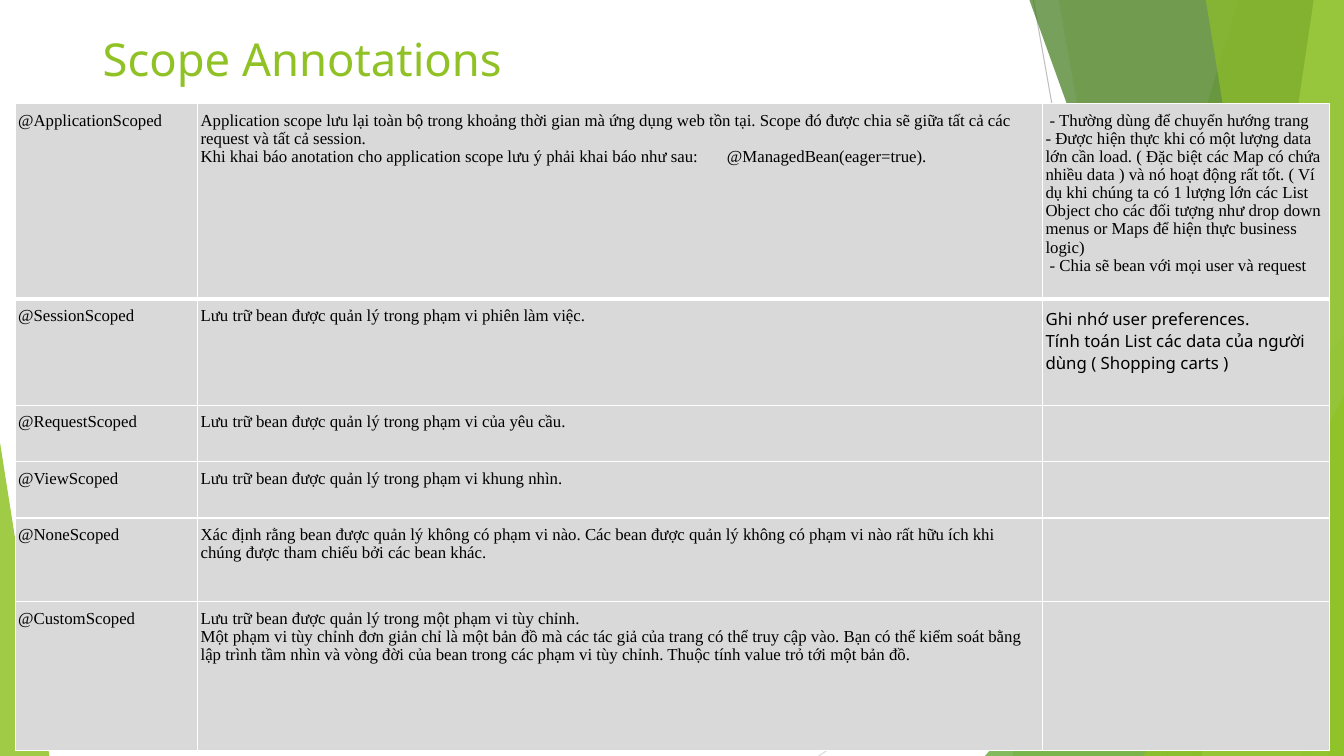
from lxml import etree
from pptx import Presentation
from pptx.dml.color import RGBColor
from pptx.enum.shapes import MSO_CONNECTOR as Connector, MSO_SHAPE as Shape
from pptx.enum.text import MSO_ANCHOR as Anchor
from pptx.oxml.ns import qn
from pptx.util import Inches, Pt

COLOURS = {
    "lime": "90C226", "leaf": "54A021", "forest": "3F7819", "pale": "C0E474",
    "ray": "BFBFBF", "faint ray": "D9D9D9", "cell": "D9D9D9",
    "border": "FFFFFF", "text": "000000",
}
SERIF, SANS = "Times New Roman", "Noto Sans"
TITLE_FORMAT = {"name": SANS, "size": Pt(32.4)}
SERIF_FORMAT = {"name": SERIF, "size": Pt(12)}
SANS_FORMAT = {"name": SANS, "size": Pt(12)}

PANEL, TRIANGLE = "panel", "triangle"
FACETS = [
    (PANEL, (4.16, 1.92), "lime", 30),
    (PANEL, (2.38, 3.71), "lime", 20),
    (TRIANGLE, (3.56, 4.17), "leaf", 72),
    (PANEL, (2.09, 4.79), "forest", 70),
    (PANEL, (4.91, 3.8), "pale", 70),
    (PANEL, (3.84, 5.06), "lime", 65),
    (TRIANGLE, (1.99, 3.57), "lime", 80),
]

COLUMNS = [1.81, 8.38, 2.85]
ROWS = [1.94, 1.05, 0.56, 0.56, 0.83, 1.48]
GAP_STOP = 5.22
SCOPES = [
    ("@ApplicationScoped",
     "Application scope lưu lại toàn bộ trong khoảng thời gian mà ứng dụng web tồn tại. "
     "Scope đó được chia sẽ giữa tất cả các request và tất cả session.\n"
     "Khi khai báo anotation cho application scope lưu ý phải khai báo như sau:\t"
     "@ManagedBean(eager=true).",
     " - Thường dùng để chuyển hướng trang\n"
     "- Được hiện thực khi có một lượng data lớn cần load. ( Đặc biệt các Map có chứa "
     "nhiều data ) và nó hoạt động rất tốt. ( Ví dụ khi chúng ta có 1 lượng lớn các List "
     "Object cho các đối tượng như drop down menus or Maps để hiện thực business logic)\n"
     " - Chia sẽ bean với mọi user và request"),
    ("@SessionScoped",
     "Lưu trữ bean được quản lý trong phạm vi phiên làm việc.",
     "Ghi nhớ user preferences.\n"
     "Tính toán List các data của người dùng ( Shopping carts )"),
    ("@RequestScoped", "Lưu trữ bean được quản lý trong phạm vi của yêu cầu.", ""),
    ("@ViewScoped", "Lưu trữ bean được quản lý trong phạm vi khung nhìn.", ""),
    ("@NoneScoped",
     "Xác định rằng bean được quản lý không có phạm vi nào. Các bean được quản lý không có "
     "phạm vi nào rất hữu ích khi chúng được tham chiếu bởi các bean khác.", ""),
    ("@CustomScoped",
     "Lưu trữ bean được quản lý trong một phạm vi tùy chỉnh.\n"
     "Một phạm vi tùy chỉnh đơn giản chỉ là một bản đồ mà các tác giả của trang có thể truy "
     "cập vào. Bạn có thể kiểm soát bằng lập trình tầm nhìn và vòng đời của bean trong các "
     "phạm vi tùy chỉnh. Thuộc tính value trỏ tới một bản đồ.", ""),
]


def rgb(name):
    """Return the palette colour called name."""
    return RGBColor.from_string(COLOURS[name])


def write(para, text, formats, colour):
    """Add one formatted span of text to a paragraph."""
    span = para.add_run()
    span.text = text
    for attribute, value in formats.items():
        setattr(span.font, attribute, value)
    span.font.color.rgb = rgb(colour)


def paint(shape, colour, opacity):
    """Give a shape a translucent fill without line or shadow."""
    shape.shadow.inherit = False
    shape.line.fill.background()
    shape.fill.solid()
    shape.fill.fore_color.rgb = rgb(colour)
    shade = shape.fill._xPr.find(qn("a:solidFill"))[0]
    etree.SubElement(shade, qn("a:alpha"), val=str(opacity * 1000))


def add_ray(page, start, end, colour):
    """Draw a thin straight line between two points."""
    ray = page.shapes.add_connector(
        Connector.STRAIGHT, *(Inches(value) for value in start + end))
    ray.line.color.rgb = rgb(colour)
    ray.line.width = Pt(0.75)
    etree.SubElement(ray._element.spPr, qn("a:effectLst"))


def add_panel(page, top_point, bottom_point, right):
    """Build a slanted panel that reaches the right edge."""
    (top_x, top), (bottom_x, bottom) = top_point, bottom_point
    corners = [(right, top), (right, bottom), (bottom_x, bottom)]
    builder = page.shapes.build_freeform(Inches(top_x), Inches(top))
    builder.add_line_segments([(Inches(x), Inches(y)) for x, y in corners])
    return builder.convert_to_shape()


def add_triangle(page, box, apex):
    """Place a right triangle with its apex at the given share of its width."""
    triangle = page.shapes.add_shape(Shape.ISOSCELES_TRIANGLE, *map(Inches, box))
    triangle.adjustments[0] = apex
    return triangle


def draw_facets(page, box):
    """Draw the rays and translucent facets against the right edge of the box."""
    left, top, width, height = box
    right, bottom = left + width, top + height
    add_ray(page, (left + 2.13, top), (left + 3.46, bottom), "ray")
    add_ray(page, (right, top + 4.03), (left, bottom), "faint ray")
    for kind, (first, second), colour, opacity in FACETS:
        if kind == PANEL:
            facet = add_panel(page, (left + first, top), (left + second, bottom), right)
        else:
            facet = add_triangle(page, (right - first, bottom - second, first, second), 1)
        paint(facet, colour, opacity)


def draw_corner(page, box):
    """Draw the green triangle in the lower left corner."""
    paint(add_triangle(page, box, 0), "lime", 85)


def draw_title(page, box):
    """Write the slide title."""
    frame = page.shapes.add_textbox(*map(Inches, box)).text_frame
    frame.word_wrap = True
    frame.vertical_anchor = Anchor.MIDDLE
    write(frame.paragraphs[0], "Scope Annotations", TITLE_FORMAT, "lime")


def add_borders(cell, widths):
    """Put white lines of the given point widths around a cell."""
    properties = cell._tc.get_or_add_tcPr()
    for index, (side, width) in enumerate(widths.items()):
        line = etree.Element(qn("a:ln" + side), w=str(Pt(width)))
        fill = etree.SubElement(line, qn("a:solidFill"))
        etree.SubElement(fill, qn("a:srgbClr"), val=COLOURS["border"])
        properties.insert(index, line)


def fill_cell(cell, text, formats, right_margin):
    """Write the lines of a cell as paragraphs on the grey fill."""
    margins = {"margin_left": 0.03, "margin_top": 0.08,
               "margin_right": right_margin, "margin_bottom": 0.05}
    for attribute, value in margins.items():
        setattr(cell, attribute, Inches(value))
    cell.fill.solid()
    cell.fill.fore_color.rgb = rgb("cell")
    frame = cell.text_frame
    for index, line in enumerate(text.split("\n") if text else []):
        para = frame.add_paragraph() if index else frame.paragraphs[0]
        para.line_spacing = 0.97
        if "\t" in line:
            stops = etree.SubElement(para._p.get_or_add_pPr(), qn("a:tabLst"))
            etree.SubElement(stops, qn("a:tab"), pos=str(Inches(GAP_STOP)), algn="l")
        write(para, line, formats, "text")


def draw_scopes(page, box):
    """Draw the table of scope annotations."""
    table = page.shapes.add_table(len(ROWS), len(COLUMNS), *map(Inches, box)).table
    table.first_row = table.horz_banding = False
    for column, width in zip(table.columns, COLUMNS):
        column.width = Inches(width)
    for row, height in zip(table.rows, ROWS):
        row.height = Inches(height)
    for r, scope in enumerate(SCOPES):
        for c, text in enumerate(scope):
            cell = table.cell(r, c)
            formats = SANS_FORMAT if (r, c) == (1, 2) else SERIF_FORMAT
            fill_cell(cell, text, formats, 0.05 if c else 0.1)
            add_borders(cell, {"L": 1, "R": 1, "T": 3 if r == 1 else 1,
                               "B": 1 if r else 3})


def main():
    """Build the slide and save the deck."""
    deck = Presentation()
    deck.slide_width, deck.slide_height = Inches(13.33), Inches(7.5)
    page = deck.slides.add_slide(deck.slide_layouts[6])
    draw_facets(page, (8.12, 0, 5.21, 7.5))
    draw_corner(page, (0, 4.39, 0.49, 3.11))
    draw_title(page, (0.92, 0.26, 11.5, 0.63))
    draw_scopes(page, (0.15, 1.03, 13.04, 6.42))
    deck.save("out.pptx")


if __name__ == "__main__":
    main()
